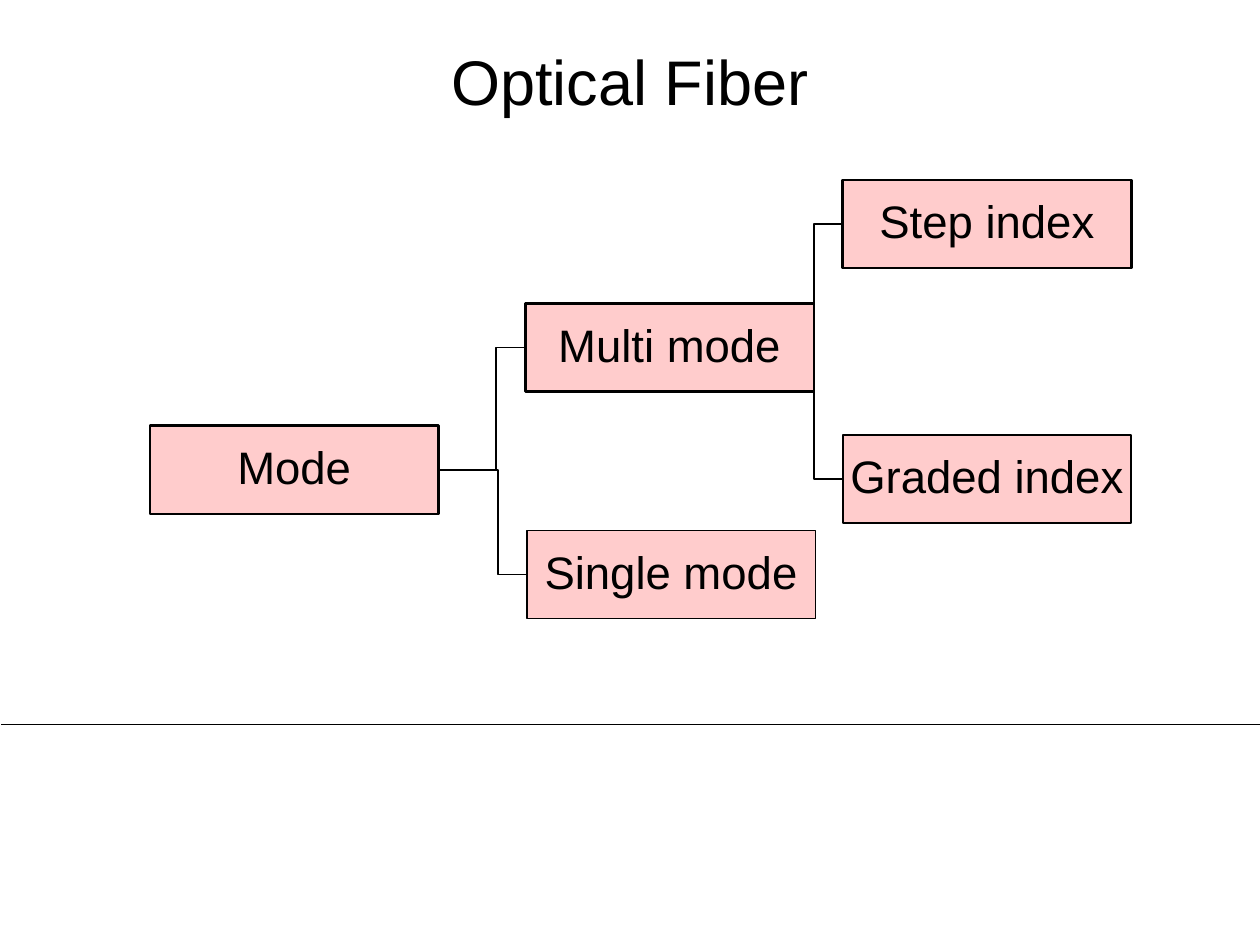
from pptx import Presentation
from pptx.util import Pt
from pptx.dml.color import RGBColor as RGB
from pptx.enum.shapes import MSO_SHAPE as Shape, MSO_CONNECTOR as Link
from pptx.enum.text import PP_ALIGN as Align, MSO_ANCHOR as Anchor
from lxml.etree import SubElement
from pptx.oxml.ns import qn

COLORS = {"ink": "000000", "box": "FFCCCC", "page": "FFFFFF"}
WIDE, HIGH, STUB = 164.9, 50.4, 16.6

deck = Presentation()
deck.slide_width, deck.slide_height = Pt(720), Pt(540)
slide = deck.slides.add_slide(deck.slide_layouts[5])
slide.background.fill.solid()
slide.background.fill.fore_color.rgb = RGB.from_string(COLORS["page"])
shapes = slide.shapes


def set_line(item, width):
    item.line.color.rgb = RGB.from_string(COLORS["ink"])
    item.line.width = Pt(width)


def set_text(item, words, size, inset):
    frame = item.text_frame
    frame.text = words
    frame.word_wrap = True
    frame.vertical_anchor = Anchor.MIDDLE
    frame.margin_left = frame.margin_right = Pt(inset)
    frame.margin_top = frame.margin_bottom = Pt(inset)
    para = frame.paragraphs[0]
    para.alignment = Align.CENTER
    para.line_spacing = 0.9
    font = para.runs[0].font
    font.name, font.size = "Arial", Pt(size)
    font.color.rgb = RGB.from_string(COLORS["ink"])


rule = shapes.add_connector(Link.STRAIGHT, Pt(0.7), Pt(414), Pt(720.7), Pt(414))
set_line(rule, 0.5)
SubElement(rule._element.spPr, qn("a:effectLst"))

title = shapes.title
title.left, title.top, title.width, title.height = Pt(30), Pt(22), Pt(660), Pt(53)
set_text(title, "Optical Fiber", 36, 3.6)

nodes = {
    "Mode": (85.7, 243.3, 1.5),
    "Multi mode": (300.2, 173.4, 1.5),
    "Step index": (481.6, 102.9, 1.5),
    "Graded index": (481.6, 248.6, 1),
    "Single mode": (301.1, 303.1, 1),
}
links = [
    ("Mode", "Single mode"),
    ("Multi mode", "Graded index"),
    ("Multi mode", "Step index"),
    ("Mode", "Multi mode"),
]

for start, end in links:
    left, top, _ = nodes[start]
    right, low, _ = nodes[end]
    head, tail, bend = top + HIGH / 2, low + HIGH / 2, right - STUB
    pen = shapes.build_freeform(Pt(left + WIDE), Pt(head))
    pen.add_line_segments(
        [(Pt(bend), Pt(head)), (Pt(bend), Pt(tail)), (Pt(right), Pt(tail))],
        close=False)
    elbow = pen.convert_to_shape()
    elbow.shadow.inherit = False
    elbow.fill.background()
    set_line(elbow, 1)

for name, (left, top, width) in nodes.items():
    box = shapes.add_shape(Shape.RECTANGLE, Pt(left), Pt(top), Pt(WIDE), Pt(HIGH))
    box.shadow.inherit = False
    box.fill.solid()
    box.fill.fore_color.rgb = RGB.from_string(COLORS["box"])
    set_line(box, width)
    set_text(box, name, 26, 1.4)

deck.save("out.pptx")
